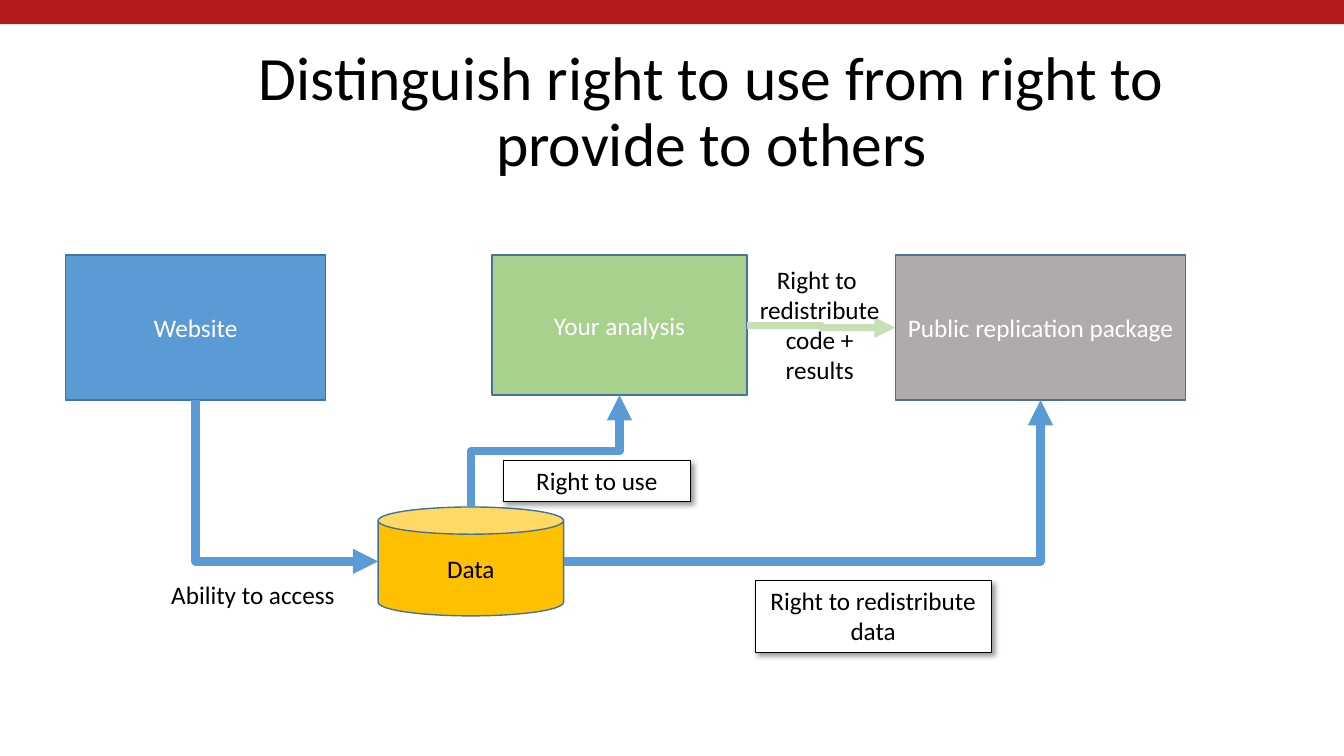
from lxml import etree
from pptx import Presentation
from pptx.dml.color import RGBColor
from pptx.enum.shapes import MSO_CONNECTOR, MSO_SHAPE
from pptx.enum.text import MSO_ANCHOR, MSO_AUTO_SIZE, PP_ALIGN
from pptx.oxml.ns import qn
from pptx.util import Inches, Pt

WIDTH, HEIGHT = 13.33, 7.5
FONT = "Calibri"
BLACK = RGBColor(0x00, 0x00, 0x00)
WHITE = RGBColor(0xFF, 0xFF, 0xFF)
RED = RGBColor(0xB3, 0x1B, 0x1B)
BLUE = RGBColor(0x5B, 0x9B, 0xD5)
EDGE = RGBColor(0x43, 0x73, 0x9E)
GREEN = RGBColor(0xA9, 0xD1, 0x8E)
PALE_GREEN = RGBColor(0xC5, 0xE0, 0xB4)
GREY = RGBColor(0xAF, 0xAB, 0xAB)
GOLD = RGBColor(0xFF, 0xC0, 0x00)
RECTANGLE, CAN = MSO_SHAPE.RECTANGLE, MSO_SHAPE.CAN
ELBOW = MSO_CONNECTOR.ELBOW
LEFT, CENTER = PP_ALIGN.LEFT, PP_ALIGN.CENTER
TOP, MIDDLE = MSO_ANCHOR.TOP, MSO_ANCHOR.MIDDLE
GROW = MSO_AUTO_SIZE.SHAPE_TO_FIT_TEXT

TITLE = "Distinguish right to use from right to provide to others"
TITLE_PLACE = (1.7, 0.4, 10.72, 1.45)
ROW_TOP = 2.53
NODES = {
    "website": ("Website", RECTANGLE, (0.65, ROW_TOP, 2.58, 1.44), BLUE, WHITE),
    "analysis": ("Your analysis", RECTANGLE, (4.88, ROW_TOP, 2.53, 1.39), GREEN, WHITE),
    "package": ("Public replication package", RECTANGLE, (8.88, ROW_TOP, 2.88, 1.44), GREY, WHITE),
    "data": ("Data", CAN, (3.75, 5.03, 1.84, 1.08), GOLD, BLACK),
}
ARROWS = [
    ("website", "bottom", "data", "left", "bentConnector2", BLUE, 6),
    ("data", "right", "package", "bottom", "bentConnector2", BLUE, 6),
    ("data", "top", "analysis", "bottom", "bentConnector3", BLUE, 6),
    ("analysis", "right", "package", "left", "bentConnector3", PALE_GREEN, 5),
]
SIDES = {"top": (0.5, 0), "bottom": (0.5, 1), "left": (0, 0.5), "right": (1, 0.5)}
TURNS = {"bottom": (270, {"flipH": "1"}), "top": (90, {"flipH": "1", "flipV": "1"})}
LABELS = [
    (["Ability to access"], (1.6, 5.7, 1.86, 0.41), LEFT, False),
    (["Right to use"], (4.99, 4.57, 1.86, 0.41), CENTER, True),
    (["Right to redistribute", "data"], (7.49, 5.76, 2.34, 0.71), CENTER, True),
    (["Right to ", "redistribute", "code +", "results"], (6.96, 2.57, 2.34, 1.31), CENTER, False),
]


def inches(values):
    return [Inches(value) for value in values]


def write(box, lines, size, color, align, anchor):
    frame = box.text_frame
    frame.word_wrap = True
    frame.vertical_anchor = anchor
    para = frame.paragraphs[0]
    para.alignment = align
    for index, line in enumerate(lines):
        if index:
            para.add_line_break()
        span = para.add_run()
        span.text = line
        span.font.name = FONT
        span.font.size = Pt(size)
        span.font.color.rgb = color
    return para


def add_box(page, kind, place, fill, line=None, weight=1):
    box = page.shapes.add_shape(kind, *inches(place))
    box.shadow.inherit = False
    box.fill.solid()
    box.fill.fore_color.rgb = fill
    if line is None:
        box.line.fill.background()
    else:
        box.line.color.rgb = line
        box.line.width = Pt(weight)
    return box


def cast_shadow(box):
    effects = box._element.spPr.find(qn("a:effectLst"))
    shadow = etree.SubElement(effects, qn("a:outerShdw"), blurRad=str(Pt(4)),
                              dist=str(Pt(3)), dir="2700000", algn="tl", rotWithShape="0")
    color = etree.SubElement(shadow, qn("a:srgbClr"), val=str(BLACK))
    etree.SubElement(color, qn("a:alpha"), val="40000")


def anchor_point(node, side):
    left, top, width, height = NODES[node][2]
    across, down = SIDES[side]
    return left + across * width, top + down * height


def add_arrow(page, source, exit_side, target, entry_side, preset, color, weight):
    start = anchor_point(source, exit_side)
    end = anchor_point(target, entry_side)
    arrow = page.shapes.add_connector(ELBOW, *inches(start + end))
    properties = arrow._element.spPr
    properties.find(qn("a:prstGeom")).set("prst", preset)
    if exit_side in TURNS:
        angle, flips = TURNS[exit_side]
        width, height = abs(end[1] - start[1]), abs(end[0] - start[0])
        arrow.left = Inches((start[0] + end[0] - width) / 2)
        arrow.top = Inches((start[1] + end[1] - height) / 2)
        arrow.width, arrow.height = Inches(width), Inches(height)
        frame = properties.find(qn("a:xfrm"))
        frame.set("rot", str(angle * 60000))
        for name, value in flips.items():
            frame.set(name, value)
    arrow.line.color.rgb = color
    arrow.line.width = Pt(weight)
    etree.SubElement(properties.find(qn("a:ln")), qn("a:tailEnd"), type="triangle")
    etree.SubElement(properties, qn("a:effectLst"))


def add_label(page, lines, place, align, framed):
    if framed:
        box = add_box(page, RECTANGLE, place, WHITE, BLACK, 0.75)
        cast_shadow(box)
    else:
        box = page.shapes.add_textbox(*inches(place))
    write(box, lines, 18, BLACK, align, TOP)
    box.text_frame.auto_size = GROW


def main():
    deck = Presentation()
    deck.slide_width, deck.slide_height = inches((WIDTH, HEIGHT))
    page = deck.slides.add_slide(deck.slide_layouts[6])
    add_box(page, RECTANGLE, (0, 0, WIDTH, 0.24), RED)
    title = page.shapes.add_textbox(*inches(TITLE_PLACE))
    write(title, [TITLE], 44, BLACK, CENTER, MIDDLE).line_spacing = 0.9
    for text, kind, place, fill, ink in NODES.values():
        write(add_box(page, kind, place, fill, EDGE), [text], 18, ink, CENTER, MIDDLE)
    for arrow in ARROWS:
        add_arrow(page, *arrow)
    for label in LABELS:
        add_label(page, *label)
    deck.save("out.pptx")


if __name__ == "__main__":
    main()
